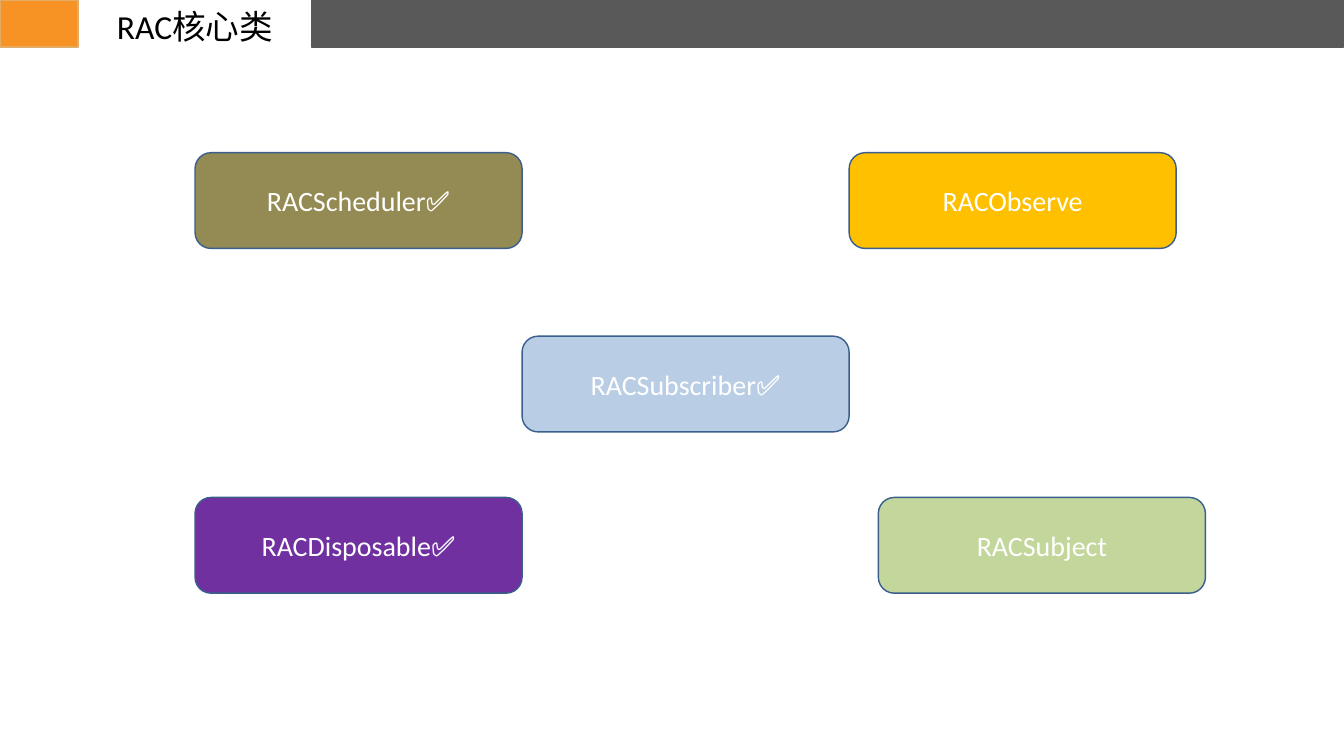
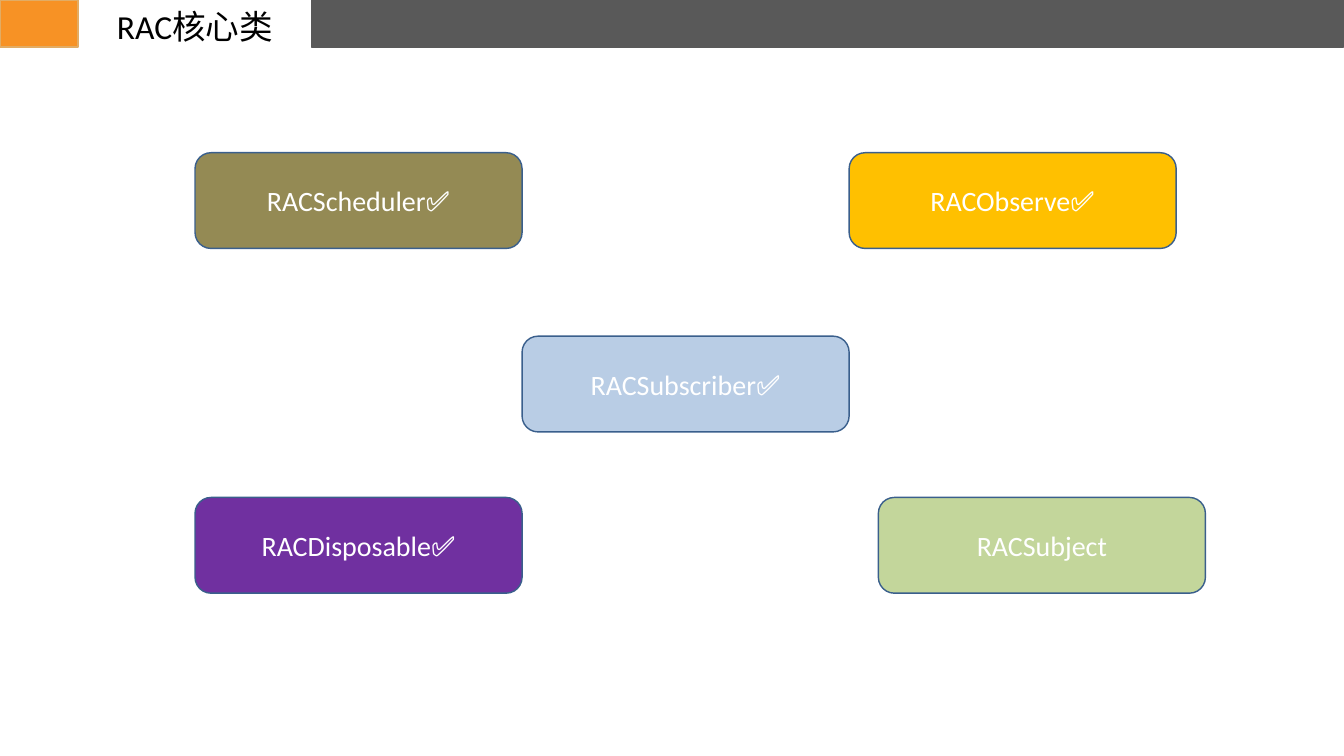
from dataclasses import dataclass

from pptx import Presentation
from pptx.dml.color import RGBColor
from pptx.enum.shapes import MSO_SHAPE
from pptx.enum.text import MSO_ANCHOR, MSO_AUTO_SIZE, PP_ALIGN
from pptx.util import Inches, Pt


@dataclass(frozen=True)
class Theme:
    """Colours, font and type sizes shared by the slides."""
    font: str = "Calibri"
    title_size: int = 48
    box_size: int = 40
    line_width: int = 2
    black: str = "000000"
    white: str = "FFFFFF"
    gray: str = "595959"
    orange: str = "F79225"
    tan: str = "E2AC64"
    outline: str = "3A5F8C"
    olive: str = "948A54"
    blue: str = "B9CDE5"
    purple: str = "7030A0"
    gold: str = "FFC000"
    green: str = "C3D69B"


THEME = Theme()
SLIDE_W, SLIDE_H = 26.67, 15
BAND_H = 0.93
BOX_W, BOX_H = 6.49, 1.9
LEFT, TOP, MIDDLE, BOTTOM = 3.87, 3.03, 6.67, 9.87
CHECK = "\u2705"

# class name, left, top, fill
CLASSES = [
    ("RACScheduler", LEFT, TOP, THEME.olive),
    ("RACSubscriber", LEFT + BOX_W, MIDDLE, THEME.blue),
    ("RACDisposable", LEFT, BOTTOM, THEME.purple),
    ("RACObserve", LEFT + 2 * BOX_W, TOP, THEME.gold),
    ("RACSubject", 17.43, BOTTOM, THEME.green),
]
# the classes ticked off on each slide
DONE = [
    {"RACScheduler", "RACSubscriber", "RACDisposable"},
    {"RACScheduler", "RACSubscriber", "RACDisposable", "RACObserve"},
]


def set_text(shape, text, size=THEME.box_size, color=THEME.white,
             align=PP_ALIGN.CENTER, anchor=MSO_ANCHOR.MIDDLE):
    """Write one formatted paragraph into a shape."""
    tf = shape.text_frame
    tf.word_wrap = True
    tf.vertical_anchor = anchor
    p = tf.paragraphs[0]
    p.alignment = align
    r = p.add_run()
    r.text = text
    r.font.name = THEME.font
    r.font.size = Pt(size)
    r.font.color.rgb = RGBColor.from_string(color)


def add_block(s, kind, left, top, width, height, fill, line):
    """Add a filled and outlined preset shape."""
    sp = s.shapes.add_shape(kind, Inches(left), Inches(top),
                            Inches(width), Inches(height))
    sp.shadow.inherit = False
    sp.fill.solid()
    sp.fill.fore_color.rgb = RGBColor.from_string(fill)
    sp.line.color.rgb = RGBColor.from_string(line)
    sp.line.width = Pt(THEME.line_width)
    return sp


def move_to_layout(sp, layout):
    """Move a shape from its slide to the back of the layout."""
    first = layout.shapes[0].element
    first.addprevious(sp.element)


def add_bands(s):
    """Put the header bands on the layout that the slides share."""
    bands = [(6.18, 20.48, THEME.gray, THEME.gray),
             (0, 1.55, THEME.orange, THEME.tan)]
    shapes = [add_block(s, MSO_SHAPE.RECTANGLE, left, 0, width, BAND_H, fill, line)
              for left, width, fill, line in bands]
    for sp in reversed(shapes):
        move_to_layout(sp, s.slide_layout)


def add_title(s, text):
    """Place the title in the gap between the header bands."""
    sp = s.shapes.title
    sp.left, sp.top = Inches(1.56), Inches(0.06)
    sp.width, sp.height = Inches(4.62), Inches(0.91)
    set_text(sp, text, size=THEME.title_size, color=THEME.black)
    sp.text_frame.auto_size = MSO_AUTO_SIZE.SHAPE_TO_FIT_TEXT


def add_class_boxes(s, done):
    """Draw a box for each class, with a check mark on those done."""
    for name, left, top, fill in CLASSES:
        sp = add_block(s, MSO_SHAPE.ROUNDED_RECTANGLE, left, top,
                       BOX_W, BOX_H, fill, THEME.outline)
        set_text(sp, name + CHECK if name in done else name)


def main():
    """Build the slides and save them."""
    prs = Presentation()
    prs.slide_width, prs.slide_height = Inches(SLIDE_W), Inches(SLIDE_H)
    layout = prs.slide_layouts.get_by_name("Title Only")
    for i, done in enumerate(DONE):
        s = prs.slides.add_slide(layout)
        if i == 0:
            add_bands(s)
        add_title(s, "RAC核心类")
        add_class_boxes(s, done)
    prs.save("out.pptx")


main()
